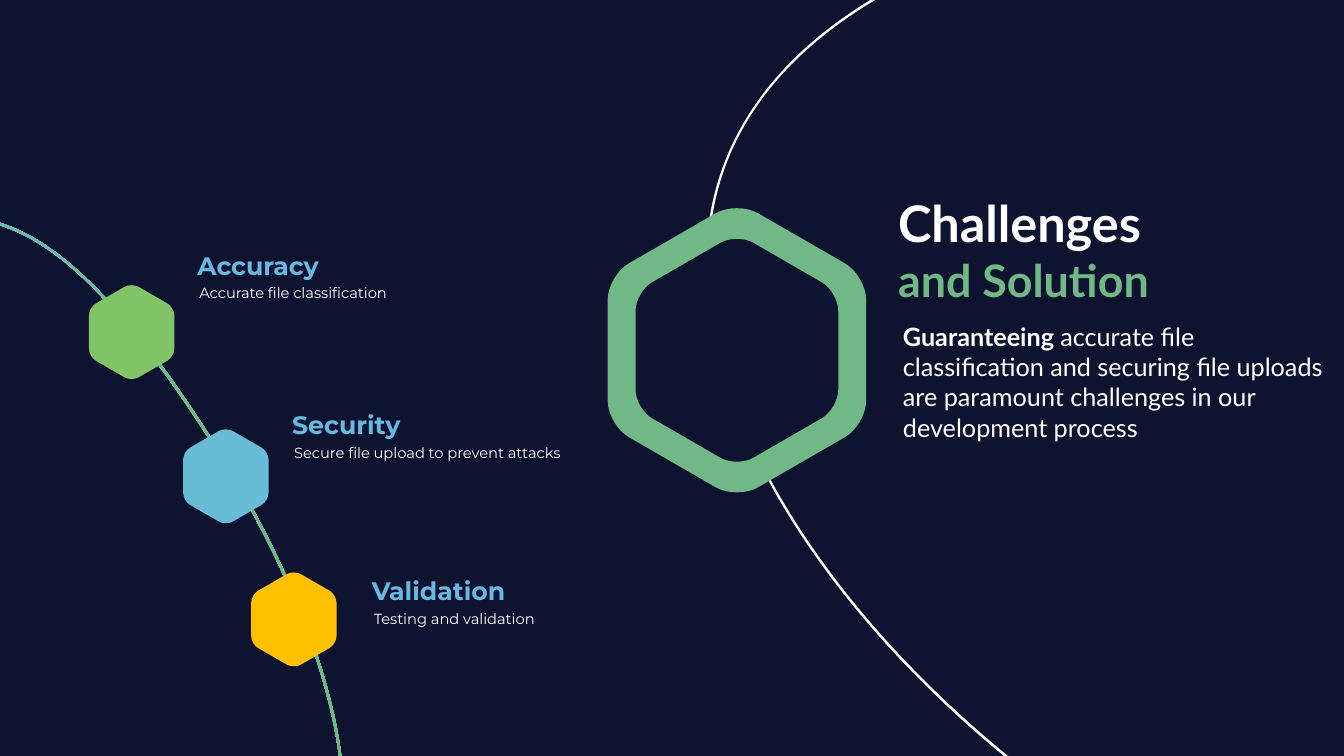
import copy
import math

import lxml.etree
import pptx
import pptx.dml.color
import pptx.enum.shapes
import pptx.enum.text
import pptx.oxml.ns
import pptx.util

Pt = pptx.util.Pt
SHAPES = pptx.enum.shapes.MSO_SHAPE
COLORS = {
    "navy": "0E1330", "white": "FFFFFF", "green": "70B886", "steel": "5B9BD5",
    "lime": "81C568", "blue": "69BCD6", "yellow": "FFC000", "heading": "68B9E2",
}
CORNER = 0.163  # corner cut as a share of the hexagon's radius
BAND = 1.8  # thickness of the curved bands
# Closed loops, clockwise: a node, then the two handles that lead to the next
WHITE_LOOP = [
    (1012.3, 668.2), (916.6, 668.2), (798.5, 613.4), (691.9, 518.4), (579.6, 418.3),
    (509.8, 300.2), (504.7, 202.3), (499, 106.6), (553, 29.5), (661, -20.9),
    (769, -72), (896.4, -89.3), (983.5, -95), (1096.6, -100.8), (1159.9, -87.8),
    (1200.2, -51.8), (1240.6, -15.8), (1260, 44.6), (1267.9, 157.7), (1272.2, 245.5),
    (1269.4, 373.7), (1231.2, 486.7), (1193.8, 600.5), (1123.2, 663.1), (1027.4, 667.4),
    (1022.4, 668.2), (1017.4, 668.2),
]
GREEN_LOOP = [
    (-18, 760.3), (-48.2, 760.3), (-78.5, 758.2), (-108.7, 753.1), (-226.8, 735.1),
    (-324, 686.2), (-369.4, 622.8), (-414, 562.3), (-411.1, 487.4), (-360.7, 407.5),
    (-311, 327.6), (-234, 261.4), (-177.8, 219.6), (-105.1, 167.8), (-58.3, 149),
    (-15.8, 155.5), (26.6, 162), (66.2, 194.4), (119.5, 266.4), (159.8, 322.6),
    (213.1, 409), (236.2, 500.4), (259.9, 592.6), (239.8, 664.6), (178.6, 708.5),
    (132.5, 742.3), (62.6, 760.3),
]
# Hexagon centre, colour, heading position and width, texts
ITEMS = [
    ((94, 237.2), "lime", (133.9, 175), 103, "Accuracy", "Accurate file classification"),
    ((161.3, 340.2), "blue", (201.6, 288.7), 93, "Security",
     "Secure file upload to prevent attacks"),
    ((209.9, 442.4), "yellow", (258.5, 407.5), 112, "Validation", "Testing and validation"),
]


def rgb(name):
    return pptx.dml.color.RGBColor.from_string(COLORS[name])


def finish(sp, color):
    sp.shadow.inherit = False
    sp.fill.solid()
    sp.fill.fore_color.rgb = rgb(color)
    sp.line.fill.background()


def outline(slide, contours, color):
    """Filled shape; a contour is a list of steps: (point,) is a line, three points a cubic."""
    builder = None
    for contour in contours:
        # Nodes and curve middles give the shape its box
        nodes = [contour[0][0]]
        for step in contour[1:]:
            if len(step) == 3:
                nodes.append(tuple((a + 3 * b + 3 * c + d) / 8
                                   for a, b, c, d in zip(nodes[-1], *step)))
            nodes.append(step[-1])
        nodes = [(Pt(x), Pt(y)) for x, y in nodes]
        if builder is None:
            builder = slide.shapes.build_freeform(*nodes[0], scale=1.0)
        else:
            builder.move_to(*nodes[0])
        builder.add_line_segments(nodes[1:], close=True)
    sp = builder.convert_to_shape()

    qn = pptx.oxml.ns.qn
    outline_path = sp._element.find(".//" + qn("a:path"))
    for child in list(outline_path):
        outline_path.remove(child)
    for contour in contours:
        for i, step in enumerate(contour):
            tag = "a:moveTo" if i == 0 else "a:cubicBezTo" if len(step) == 3 else "a:lnTo"
            el = lxml.etree.SubElement(outline_path, qn(tag))
            for x, y in step:
                lxml.etree.SubElement(el, qn("a:pt"), x=str(Pt(x) - sp.left),
                                      y=str(Pt(y) - sp.top))
        lxml.etree.SubElement(outline_path, qn("a:close"))
    finish(sp, color)
    return sp


def band(slide, loop, color):
    """Thin band between a loop and the same loop moved inward."""
    inner = []
    for i in range(0, len(loop), 3):
        before, node, after = loop[i - 1], loop[i], loop[i + 1]
        dx, dy = after[0] - before[0], after[1] - before[1]
        k = BAND / math.hypot(dx, dy)
        inner += [(x - dy * k, y + dx * k) for x, y in (before, node, after)]
    inner = inner[1:] + inner[:1]
    contours = []
    for pts in (loop, inner[:1] + inner[:0:-1]):
        ring = pts + pts[:1]
        contours.append([ring[:1]] + [ring[i:i + 3] for i in range(1, len(ring), 3)])
    return outline(slide, contours, color)


def hexagon_contour(center, radius):
    """Pointy-top hexagon with rounded corners."""
    cx, cy = center
    corners = [(cx + radius * math.sin(math.radians(60 * i)),
                cy - radius * math.cos(math.radians(60 * i))) for i in range(6)]

    def toward(p, q, share):
        return tuple(m + (n - m) * share for m, n in zip(p, q))

    contour = []
    for i, corner in enumerate(corners):
        before, after = corners[i - 1], corners[(i + 1) % 6]
        contour += [(toward(corner, before, CORNER),),
                    (toward(corner, before, CORNER * 0.45),
                     toward(corner, after, CORNER * 0.45), toward(corner, after, CORNER))]
    return contour


def style(font, name, size, color, bold=False):
    font.name, font.size, font.bold = name, Pt(size), bold
    font.color.rgb = rgb(color)


def text_box(slide, x, y, w, h):
    sp = slide.shapes.add_textbox(Pt(x), Pt(y), Pt(w), Pt(h))
    sp.text_frame.word_wrap = True
    return sp.text_frame.paragraphs[0]


def backdrop(slide, w, h):
    sp = slide.shapes.add_shape(SHAPES.RECTANGLE, 0, 0, Pt(w), Pt(h))
    finish(sp, "navy")
    slide.shapes._spTree.insert(2, sp._element)  # behind the title

    band(slide, WHITE_LOOP, "white")
    sp = band(slide, GREEN_LOOP, "green")
    sp.fill.gradient()
    sp.fill.gradient_angle = 330
    first = sp.fill.gradient_stops[0]._gs
    first.addnext(copy.deepcopy(first))
    for stop, color, pos in zip(sp.fill.gradient_stops, ("steel", "blue", "green"),
                                (0, 0.23, 0.61)):
        stop.color.rgb = rgb(color)
        stop.position = pos


def emblem(slide, cx, cy):
    w, h = 184.3, 159.1
    sp = slide.shapes.add_shape(SHAPES.HEXAGON, Pt(cx - w / 2), Pt(cy - h / 2), Pt(w), Pt(h))
    sp.adjustments[0] = 0.25
    sp.rotation = 267.1
    finish(sp, "navy")
    inner = hexagon_contour((cx, cy), 83.6)
    outer = hexagon_contour((cx, cy), 106.6)
    # The inner contour runs the other way round, mirrored left to right
    inner = [tuple((2 * cx - x, y) for x, y in step) for step in inner]
    outline(slide, [inner, outer], "green")


def item(slide, center, color, corner, width, heading, detail):
    outline(slide, [hexagon_contour(center, 35.2)], color)
    x, y = corner
    p = text_box(slide, x, y, width, 29)
    p.text = heading
    style(p.font, "Montserrat", 18, "heading", True)
    p = text_box(slide, x + 1.4, y + 24.5, 253.5, 20)
    p.text = detail
    style(p.font, "Montserrat", 10.5, "white")


def headline(slide, x, y, w):
    # Title
    title = slide.shapes.title
    title.left, title.top, title.width, title.height = Pt(x), Pt(y), Pt(w), Pt(90)
    tf = title.text_frame
    tf.text = "Challenges\nand Solution"
    tf.word_wrap = True
    tf.auto_size = pptx.enum.text.MSO_AUTO_SIZE.NONE
    tf.vertical_anchor = pptx.enum.text.MSO_ANCHOR.TOP
    for p, size, color in zip(tf.paragraphs, (36, 32), ("white", "green")):
        p.alignment = pptx.enum.text.PP_ALIGN.LEFT
        p.line_spacing = 1.0
        p.space_before = Pt(0)
        style(p.font, "Lato", size, color, True)

    # Statement
    p = text_box(slide, x + 3.6, y + 91.9, w + 22, 94.3)
    for text, bold in (
        ("Guaranteeing ", True),
        ("accurate file classification and securing file uploads are paramount "
         "challenges in our development process", False),
    ):
        r = p.add_run()
        r.text = text
        style(r.font, "Lato", 18, "white", bold)


def main():
    prs = pptx.Presentation()
    prs.slide_width, prs.slide_height = Pt(960), Pt(540)
    slide = prs.slides.add_slide(prs.slide_layouts[5])
    backdrop(slide, 960, 540)
    emblem(slide, 526.4, 250.2)
    for entry in ITEMS:
        item(slide, *entry)
    headline(slide, 634.3, 133.9, 296)
    prs.save("out.pptx")


if __name__ == "__main__":
    main()
